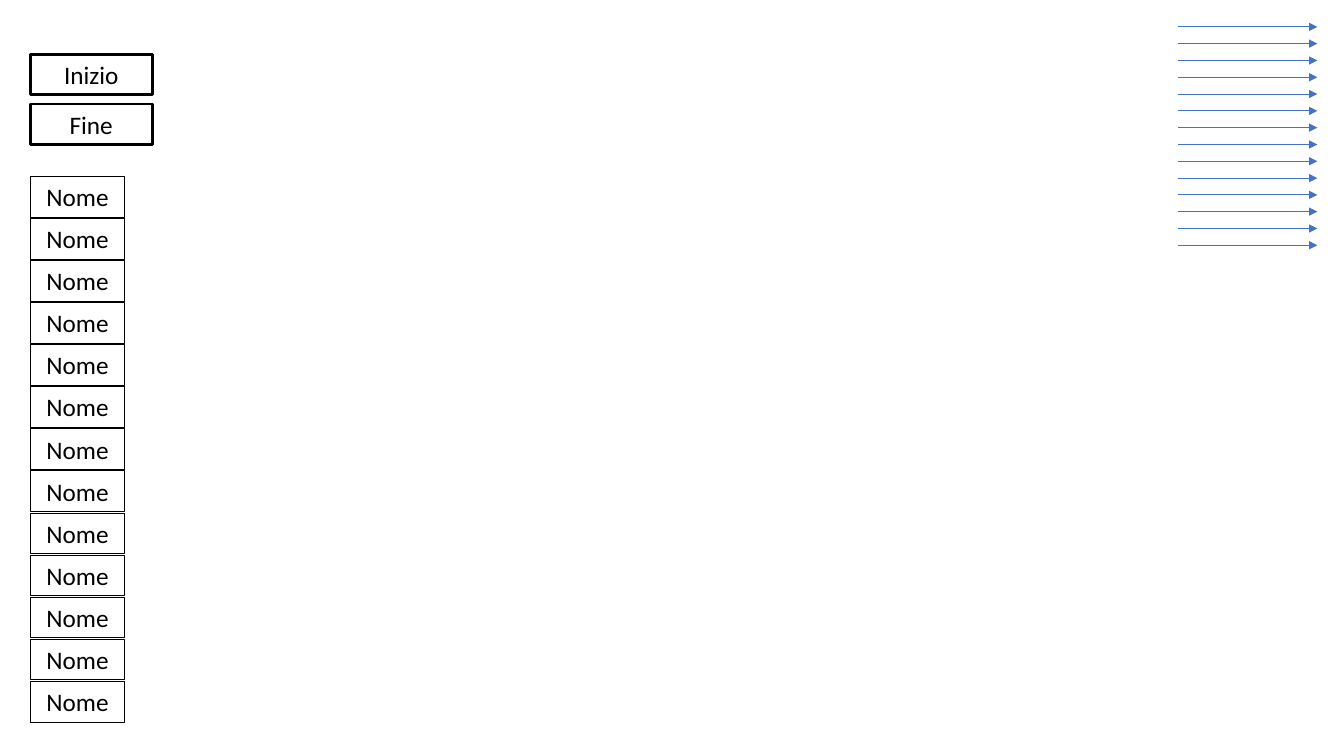
from lxml import etree
from pptx import Presentation
from pptx import util as u
from pptx.dml import color
from pptx.enum import shapes, text
from pptx.oxml import ns

BLACK, WHITE, BLUE = "000000", "FFFFFF", "4472C4"
BOX_HEIGHT = 29.08


def rgb(value):
    return color.RGBColor.from_string(value)


def add_label(slide, label, left, top, width, line_width, fill=None):
    shape = slide.shapes.add_textbox(u.Pt(left), u.Pt(top), u.Pt(width), u.Pt(BOX_HEIGHT))
    if fill:
        shape.fill.solid()
        shape.fill.fore_color.rgb = rgb(fill)
    shape.line.color.rgb = rgb(BLACK)
    shape.line.width = u.Pt(line_width)
    frame = shape.text_frame
    frame.word_wrap = True
    frame.auto_size = text.MSO_AUTO_SIZE.SHAPE_TO_FIT_TEXT
    paragraph = frame.paragraphs[0]
    paragraph.alignment = text.PP_ALIGN.CENTER
    run = paragraph.add_run()
    run.text = label
    run.font.name = "Calibri"
    run.font.size = u.Pt(18)
    run.font.color.rgb = rgb(BLACK)


def add_arrow(slide, left, top, width):
    connector = slide.shapes.add_connector(
        shapes.MSO_CONNECTOR.STRAIGHT, u.Pt(left), u.Pt(top), u.Pt(left + width), u.Pt(top))
    connector.line.color.rgb = rgb(BLUE)
    connector.line.width = u.Pt(0.75)
    etree.SubElement(connector.line._get_or_add_ln(), ns.qn("a:tailEnd"), type="triangle")
    etree.SubElement(connector._element.spPr, ns.qn("a:effectLst"))


def add_terminals(slide, left, top, width, step):
    for index, label in enumerate(("Inizio", "Fine")):
        add_label(slide, label, left, top + index * step, width, 2, WHITE)


def add_names(slide, left, top, width, step, count):
    for index in range(count):
        add_label(slide, "Nome", left, top + index * step, width, 0.75)


def add_arrows(slide, left, top, width, step, count):
    for index in range(count):
        add_arrow(slide, left, top + index * step, width)


def main():
    presentation = Presentation()
    presentation.slide_width = u.Pt(960)
    presentation.slide_height = u.Pt(540)
    slide = presentation.slides.add_slide(presentation.slide_layouts[6])
    add_terminals(slide, left=21.6, top=38.7, width=87.12, step=35.6)
    add_names(slide, left=21.6, top=126, width=67.68, step=30.06, count=13)
    add_arrows(slide, left=841.7, top=19.2, width=99.3, step=12, count=14)
    presentation.save("out.pptx")


if __name__ == "__main__":
    main()
